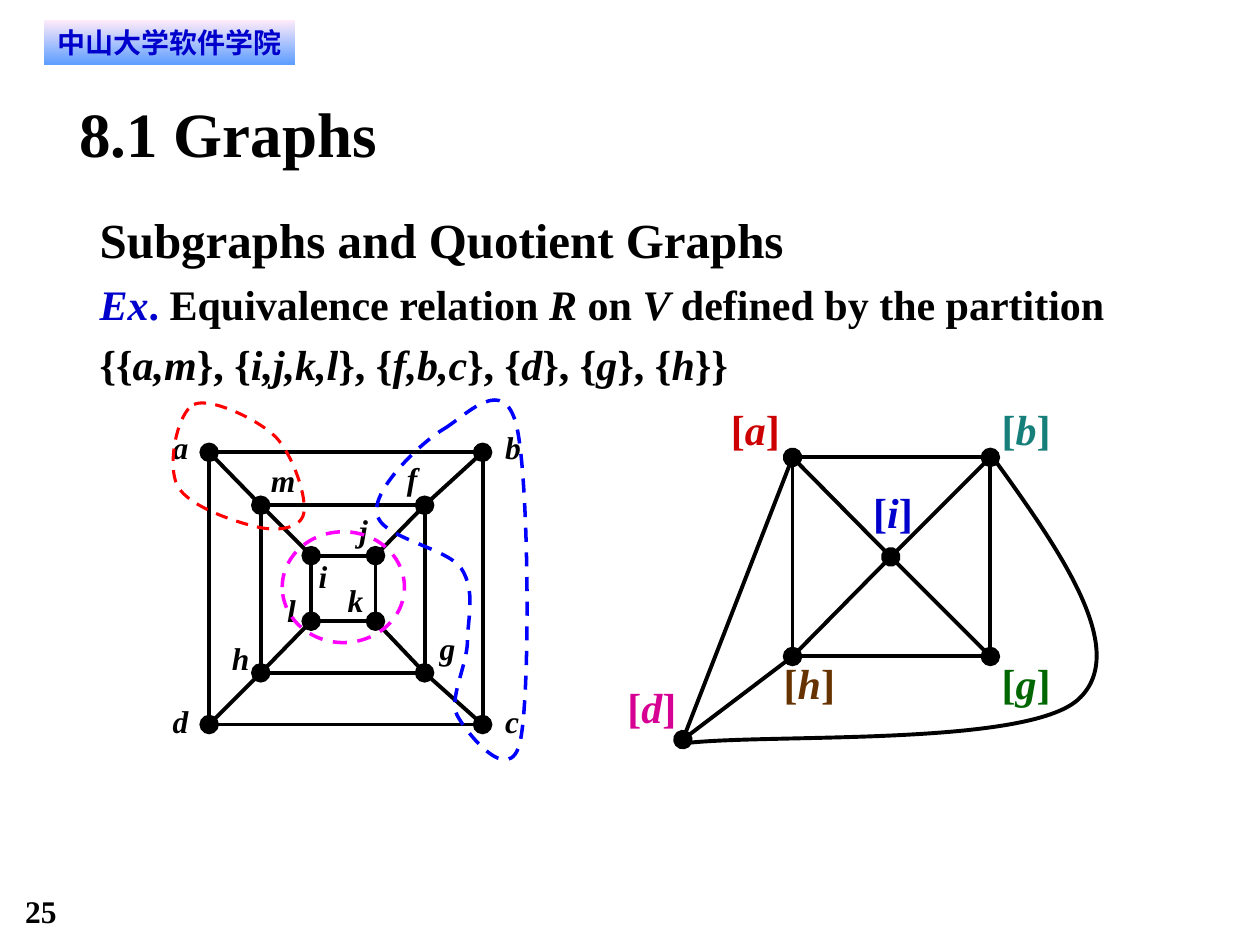
"""Build the slide on subgraphs and quotient graphs."""
from itertools import cycle
from lxml import etree
from pptx import Presentation, util as u
from pptx.dml.color import RGBColor
from pptx.enum import dml, shapes, text
from pptx.oxml.ns import qn

BLACK = RGBColor(0, 0, 0)
BLUE = RGBColor(0, 0, 0xCC)
RED = RGBColor(0xCC, 0, 0)
TEAL = RGBColor(0x17, 0x7F, 0x7A)
GREEN = RGBColor(0, 0x66, 0)
BROWN = RGBColor(0x66, 0x33, 0)
PINK = RGBColor(0xD6, 0, 0x93)
PALE = RGBColor(0xFF, 0xEB, 0xFA)
SKY = RGBColor(0x5E, 0x9E, 0xFF)
RING_RED = RGBColor(0xFF, 0, 0)
RING_BLUE = RGBColor(0, 0, 0xFF)
RING_PINK = RGBColor(0xFF, 0, 0xFF)
SERIF, SANS = "Times New Roman", "DejaVu Sans"

TITLE = "8.1 Graphs"
SCHOOL = "中山大学软件学院"
BODY = [
    (28, [("Subgraphs and Quotient Graphs", BLACK)]),
    (24, [("*Ex*. ", BLUE),
          ("Equivalence relation* R *on *V* defined by the partition "
           "{{*a,m*}, {*i,j,k,l*}, {*f,b,c*}, {*d*}, {*g*}, {*h*}}", BLACK)]),
]

SQUARES = [("abcd", 1.66, 3.59, 3.83, 5.75),
           ("mfgh", 2.07, 4.01, 3.37, 5.34),
           ("ijkl", 2.47, 4.41, 2.98, 4.93)]
NAMES = [("a", 1.37, 3.4, 0.13), ("b", 4.01, 3.4, 0.13),
         ("c", 4.01, 5.57, 0.11), ("d", 1.37, 5.57, 0.13),
         ("h", 1.84, 5.07, 0.14), ("i", 2.53, 4.42, 0.07),
         ("j", 2.85, 4.06, 0.07), ("g", 3.49, 4.99, 0.13),
         ("m", 2.15, 3.66, 0.2), ("f", 3.23, 3.64, 0.08),
         ("k", 2.76, 4.61, 0.13), ("l", 2.28, 4.69, 0.07)]

CLASS_AT = {"a": (6.29, 3.63), "b": (7.86, 3.63), "g": (7.86, 5.21),
            "h": (6.29, 5.21), "i": (7.07, 4.42), "d": (5.42, 5.87)}
CLASS_EDGES = [("ah", "tail"), ("gb", "head"), ("ab", "tail"), ("hg", ""),
               ("ai", "head tail"), ("bi", ""), ("ih", ""), ("ig", ""),
               ("hd", ""), ("ad", "tail")]
CLASSES = [("a", 5.8, 3.2, 0.39, RED), ("b", 7.95, 3.2, 0.39, TEAL),
           ("g", 7.95, 5.22, 0.39, GREEN), ("h", 6.22, 5.22, 0.41, BROWN),
           ("i", 6.93, 3.86, 0.32, BLUE), ("d", 4.98, 5.41, 0.39, PINK)]

ARC = [(7.88, 3.63), (8.43, 4.39), (8.97, 5.17), (8.56, 5.55),
       (8.15, 5.93), (6.08, 5.82), (5.43, 5.9)]
RING_AM = [(1.54, 3.21), (1.67, 3.15), (2.05, 3.33), (2.19, 3.47),
           (2.33, 3.62), (2.44, 3.96), (2.41, 4.08), (2.38, 4.2),
           (2.19, 4.22), (2.03, 4.18), (1.86, 4.14), (1.5, 4.02),
           (1.41, 3.86), (1.32, 3.69), (1.41, 3.27), (1.54, 3.21)]
RING_FBC = [(3.53, 3.4), (3.72, 3.28), (4, 2.97), (4.1, 3.38),
            (4.2, 3.8), (4.21, 5.5), (4.13, 5.88), (4.05, 6.26),
            (3.7, 5.81), (3.63, 5.68), (3.56, 5.55), (3.7, 5.3),
            (3.71, 5.1), (3.71, 4.91), (3.78, 4.69), (3.66, 4.51),
            (3.54, 4.34), (3.01, 4.27), (2.99, 4.07), (2.96, 3.88),
            (3.34, 3.51), (3.53, 3.4)]


def inch(*nums):
    return [u.Inches(n) for n in nums]


def assign(thing, **vals):
    for key, val in vals.items():
        setattr(thing, key, val)


def write(para, words, size, color=BLACK, face=SERIF):
    """Add bold runs, where each asterisk turns italics on or off."""
    for part, slant in zip(words.split("*"), cycle((False, True))):
        if part:
            run = para.add_run()
            run.text = part
            assign(run.font, size=u.Pt(size), bold=True, italic=slant, name=face)
            run.font.color.rgb = color
            etree.SubElement(run.font._element, qn("a:ea")).set("typeface", face)


def set_frame(frame, wrap=True, pad=0):
    assign(frame, word_wrap=wrap, auto_size=text.MSO_AUTO_SIZE.NONE,
           vertical_anchor=text.MSO_ANCHOR.TOP, margin_left=pad,
           margin_right=pad, margin_top=pad // 2, margin_bottom=pad // 2)
    return frame


def add_label(tree, box, words, size, color=BLACK, wrap=False):
    frame = set_frame(tree.add_textbox(*inch(*box)).text_frame, wrap)
    write(frame.paragraphs[0], words, size, color)


def style_line(shape, color=BLACK, width=2.25, dash=None):
    shape.line.color.rgb = color
    assign(shape.line, width=u.Pt(width), dash_style=dash)


def add_edge(tree, start, end, dots=""):
    edge = tree.add_connector(shapes.MSO_CONNECTOR.STRAIGHT, *inch(*start, *end))
    style_line(edge)
    etree.SubElement(edge._element.spPr, qn("a:effectLst"))
    line = edge.line._get_or_add_ln()
    for side in dots.split():
        tip = etree.SubElement(line, qn(f"a:{side}End"))
        for key, val in dict(type="oval", w="lg", len="lg").items():
            tip.set(key, val)


def add_curve(tree, points, close=False, **style):
    """Draw points as an anchor followed by triples of a cubic curve."""
    spots = [inch(*point) for point in points]
    maker = tree.build_freeform(*spots[0])
    maker.add_line_segments(spots[1:], close=close)
    curve = maker.convert_to_shape()
    steps = iter(list(curve._element.iter(qn("a:lnTo"))))
    for trio in zip(steps, steps, steps):
        bend = etree.Element(qn("a:cubicBezTo"))
        trio[0].addprevious(bend)
        for step in trio:
            bend.append(step[0])
            step.getparent().remove(step)
    curve.fill.background()
    curve.shadow.inherit = False
    style_line(curve, **style)


def add_squares(tree):
    spots = {}
    for names, left, top, right, low in SQUARES:
        tl, tr, br, bl = corners = [(left, top), (right, top),
                                    (right, low), (left, low)]
        spots.update(zip(names, corners))
        for start, end, dots in [(tl, bl, ""), (br, tr, ""),
                                 (tl, tr, "head tail"), (bl, br, "head tail")]:
            add_edge(tree, start, end, dots)
    for chain in zip(*(square[0] for square in SQUARES)):
        for start, end in zip(chain, chain[1:]):
            add_edge(tree, spots[start], spots[end])
    for name, left, top, width in NAMES:
        add_label(tree, (left, top, width, 0.3), f"*{name}*", 18)


def add_classes(tree):
    for (start, end), dots in CLASS_EDGES:
        add_edge(tree, CLASS_AT[start], CLASS_AT[end], dots)
    add_curve(tree, ARC)
    for name, left, top, width, color in CLASSES:
        add_label(tree, (left, top, width, 0.4), f"[*{name}*]", 24, color)


def add_badge(tree):
    badge = tree.add_shape(shapes.MSO_SHAPE.RECTANGLE, *inch(0.35, 0.16, 1.99, 0.35))
    badge.shadow.inherit = False
    badge.line.fill.background()
    badge.fill.gradient()
    badge.fill.gradient_angle = 270
    for stop, color in zip(badge.fill.gradient_stops, (PALE, SKY)):
        stop.color.rgb = color
    frame = set_frame(badge.text_frame, pad=u.Inches(0.08))
    frame.vertical_anchor = text.MSO_ANCHOR.MIDDLE
    frame.paragraphs[0].alignment = text.PP_ALIGN.CENTER
    write(frame.paragraphs[0], SCHOOL, 16, BLUE, SANS)


def main():
    deck = Presentation()
    assign(deck, slide_width=u.Inches(10), slide_height=u.Inches(7.5))
    slide = deck.slides.add_slide(deck.slide_layouts[5])
    tree = slide.shapes

    title = tree.title
    assign(title, **dict(zip(("left", "top", "width", "height"),
                             inch(0.63, 0.75, 8.75, 0.6))))
    para = set_frame(title.text_frame).paragraphs[0]
    para.alignment = text.PP_ALIGN.LEFT
    write(para, TITLE, 36)

    add_label(tree, (0.2, 7.08, 0.75, 0.3), "25", 18, wrap=True)
    add_badge(tree)
    body = set_frame(tree.add_textbox(*inch(0.79, 1.57, 9.01, 1.52)).text_frame)
    for row, (size, parts) in enumerate(BODY):
        para = body.add_paragraph() if row else body.paragraphs[0]
        para.line_spacing = 1.2
        for words, color in parts:
            write(para, words, size, color)

    add_classes(tree)
    add_squares(tree.add_group_shape().shapes)
    dash = dml.MSO_LINE.DASH
    add_curve(tree, RING_AM, True, color=RING_RED, width=1.75, dash=dash)
    add_curve(tree, RING_FBC, True, color=RING_BLUE, width=2, dash=dash)
    ring = tree.add_shape(shapes.MSO_SHAPE.OVAL, *inch(2.24, 4.22, 0.97, 0.88))
    ring.fill.background()
    ring.shadow.inherit = False
    style_line(ring, RING_PINK, 2, dash)
    deck.save("out.pptx")


if __name__ == "__main__":
    main()
